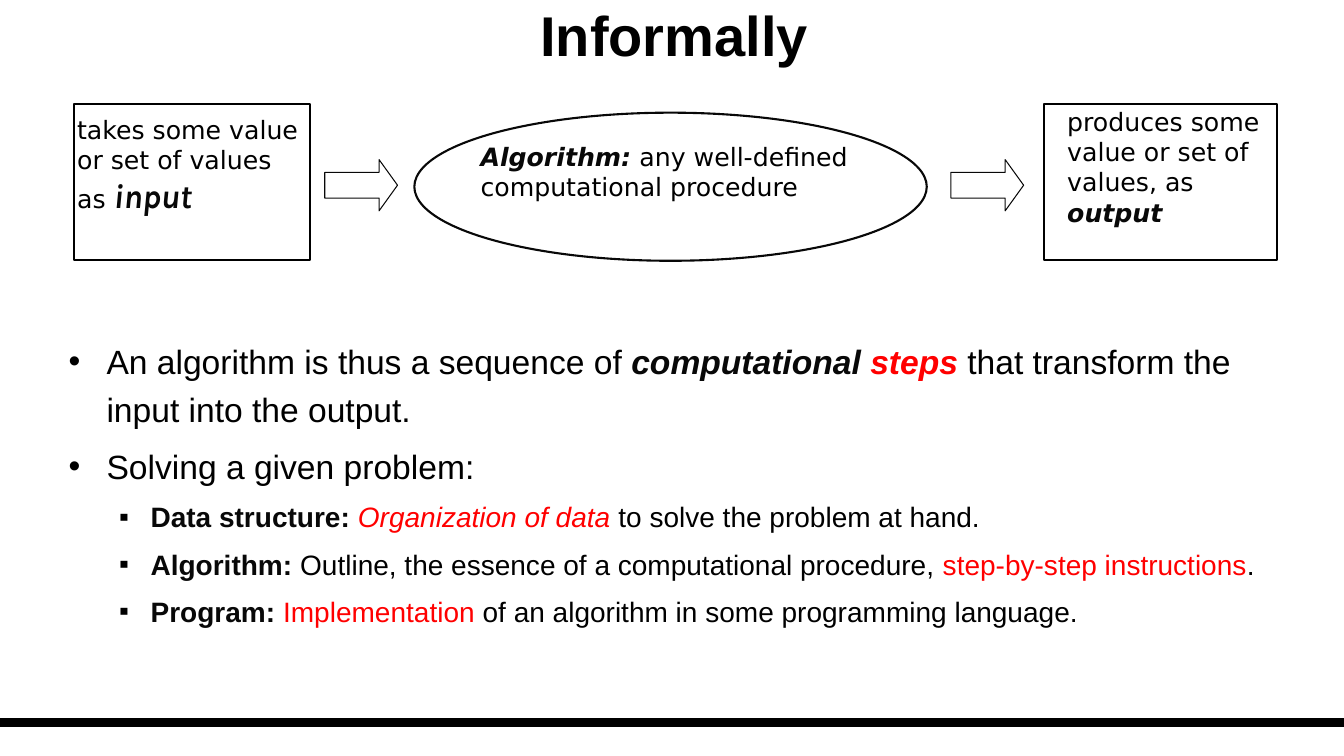
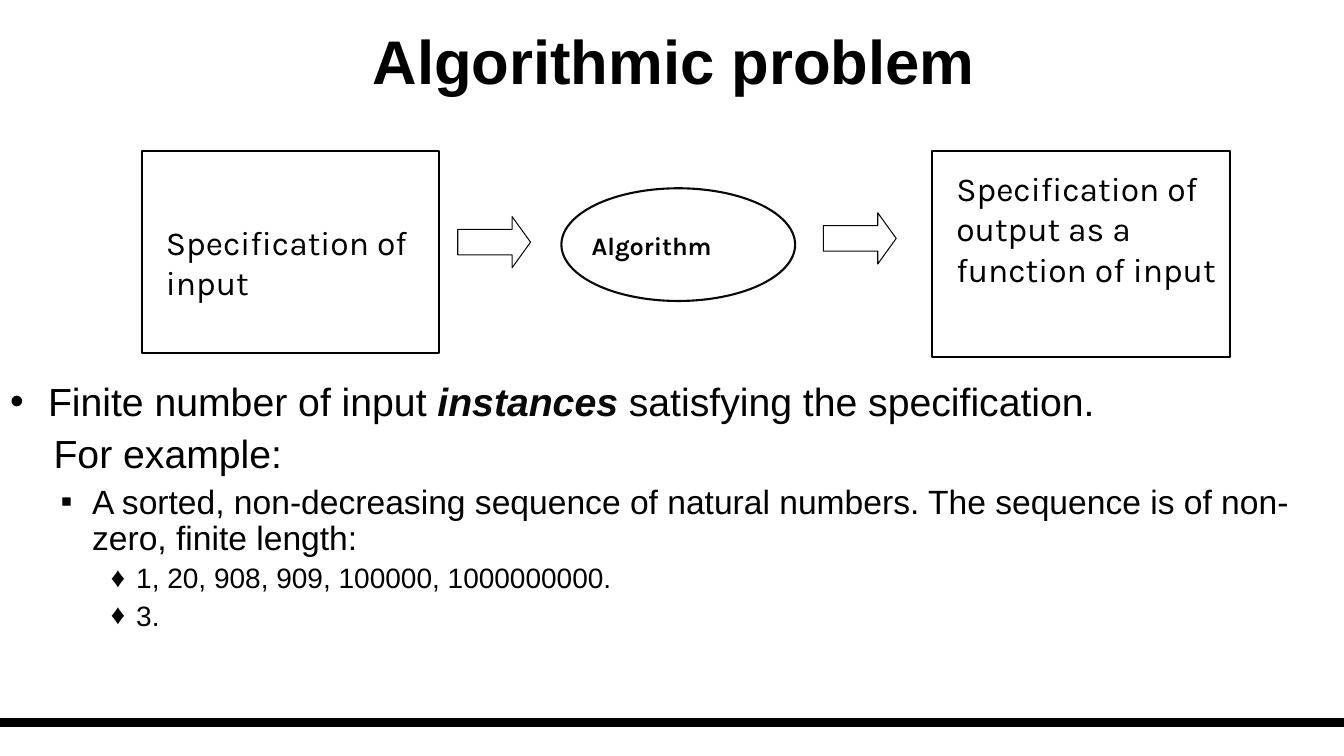
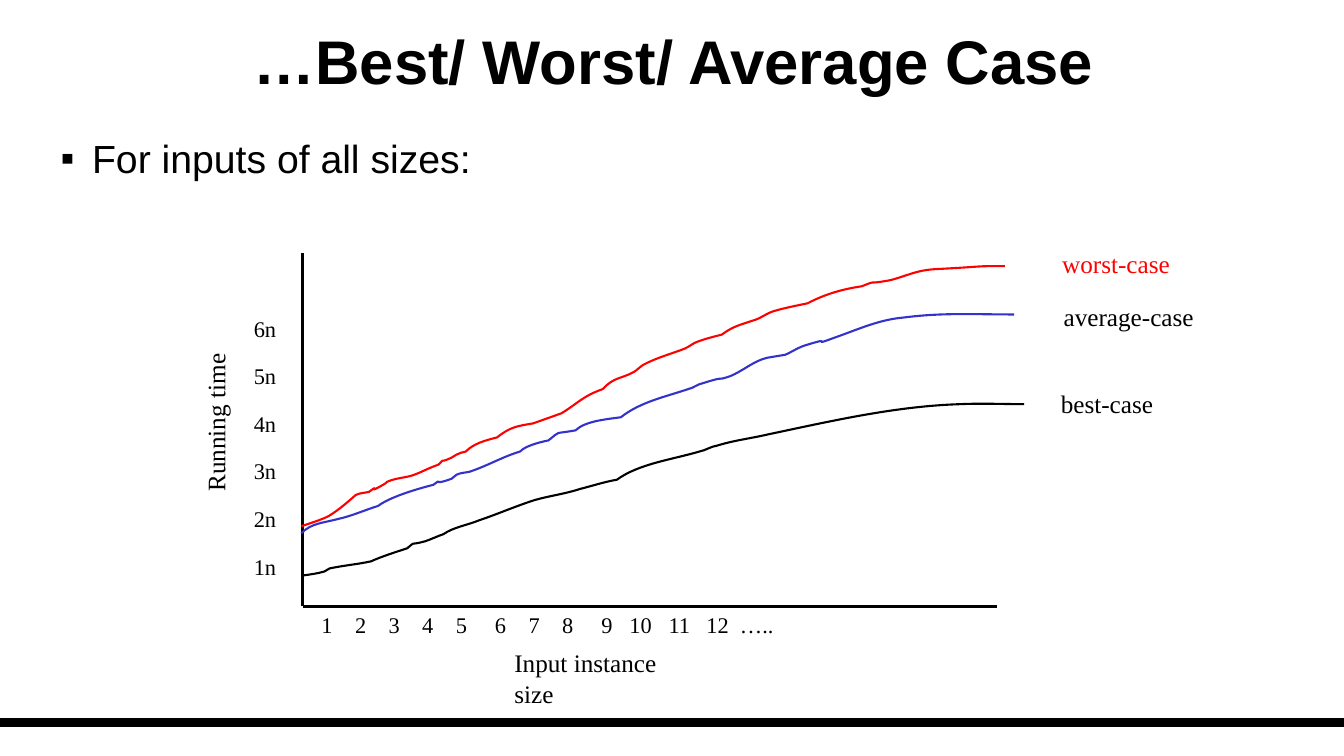
from itertools import accumulate

from lxml import etree
from pptx import Presentation
from pptx import util as u
from pptx.dml.color import RGBColor
from pptx.enum import shapes, text
from pptx.oxml.ns import qn

BLACK, INK, WHITE, RED, BLUE = "000000", "080808", "FFFFFF", "FF0000", "3333CC"
SANS, SCREEN, KARLA, SERIF = "Arial", "DejaVu Sans", "Karla", "Times New Roman"
PRESET = shapes.MSO_SHAPE
INCH = 72  # points

# level: (left margin, first-line indent, bullet)
LEVELS = [(27, -27, "•"), (58.5, -22.5, "▪"), (90, -18, "♦")]

# Each curve: a start point, then rows of two control points and an end point, in inches.
BEST = [
    (3, 5.71),
    (3.08, 5.7, 3.15, 5.69, 3.22, 5.67), (3.24, 5.66, 3.25, 5.65, 3.27, 5.64),
    (3.41, 5.61, 3.54, 5.6, 3.68, 5.57), (3.79, 5.52, 3.92, 5.48, 4.04, 5.44),
    (4.14, 5.36, 4.04, 5.42, 4.22, 5.37), (4.28, 5.35, 4.34, 5.32, 4.4, 5.3),
    (4.5, 5.23, 4.64, 5.21, 4.76, 5.16), (4.94, 5.1, 5.12, 5.02, 5.31, 4.96),
    (5.45, 4.92, 5.61, 4.9, 5.76, 4.85), (5.88, 4.82, 6, 4.78, 6.12, 4.76),
    (6.34, 4.6, 6.67, 4.56, 6.94, 4.48), (7, 4.47, 7.05, 4.43, 7.12, 4.42),
    (7.28, 4.37, 7.45, 4.35, 7.62, 4.31), (8.24, 4.18, 8.88, 4.03, 9.53, 4.01),
    (9.74, 4, 9.95, 4.01, 10.16, 4.01),
]
WORST = [
    (2.99, 5.22),
    (3.08, 5.19, 3.18, 5.16, 3.26, 5.12), (3.36, 5.06, 3.45, 4.98, 3.53, 4.91),
    (3.57, 4.89, 3.62, 4.89, 3.66, 4.88), (3.8, 4.78, 3.61, 4.92, 3.8, 4.81),
    (3.82, 4.81, 3.83, 4.78, 3.84, 4.78), (3.93, 4.74, 4.03, 4.74, 4.11, 4.71),
    (4.19, 4.68, 4.26, 4.64, 4.35, 4.61), (4.43, 4.53, 4.33, 4.61, 4.48, 4.54),
    (4.5, 4.53, 4.51, 4.52, 4.53, 4.51), (4.56, 4.49, 4.59, 4.49, 4.62, 4.48),
    (4.7, 4.4, 4.81, 4.37, 4.93, 4.34), (5.06, 4.24, 5.11, 4.23, 5.29, 4.2),
    (5.29, 4.2, 5.57, 4.1, 5.57, 4.1), (5.72, 4.01, 5.78, 3.93, 5.98, 3.86),
    (6.09, 3.74, 6.16, 3.76, 6.29, 3.69), (6.32, 3.67, 6.35, 3.64, 6.38, 3.62),
    (6.51, 3.55, 6.66, 3.51, 6.79, 3.46), (6.84, 3.44, 6.88, 3.4, 6.92, 3.39),
    (7, 3.36, 7.08, 3.34, 7.16, 3.32), (7.27, 3.24, 7.32, 3.23, 7.47, 3.18),
    (7.55, 3.16, 7.61, 3.1, 7.7, 3.08), (7.8, 3.05, 8.01, 3.01, 8.01, 3.01),
    (8.18, 2.92, 8.35, 2.87, 8.55, 2.84), (8.73, 2.77, 8.56, 2.83, 8.83, 2.78),
    (8.99, 2.74, 9.09, 2.68, 9.28, 2.67), (9.85, 2.64, 9.62, 2.64, 9.97, 2.64),
]
AVERAGE = [
    (2.99, 5.29),
    (3.09, 5.19, 3.2, 5.19, 3.35, 5.15), (3.49, 5.12, 3.62, 5.06, 3.75, 5.02),
    (3.87, 4.93, 4.14, 4.85, 4.3, 4.81), (4.41, 4.73, 4.26, 4.83, 4.48, 4.75),
    (4.5, 4.74, 4.51, 4.72, 4.53, 4.71), (4.57, 4.69, 4.62, 4.69, 4.66, 4.68),
    (4.84, 4.62, 4.99, 4.53, 5.16, 4.48), (5.22, 4.41, 5.44, 4.37, 5.44, 4.37),
    (5.57, 4.27, 5.48, 4.31, 5.71, 4.27), (5.8, 4.18, 6.01, 4.16, 6.16, 4.14),
    (6.35, 3.99, 6.59, 3.94, 6.83, 3.86), (6.88, 3.85, 6.92, 3.81, 6.98, 3.8),
    (7.23, 3.72, 7.08, 3.79, 7.25, 3.73), (7.37, 3.68, 7.48, 3.58, 7.61, 3.55),
    (7.67, 3.54, 7.73, 3.53, 7.79, 3.52), (7.86, 3.49, 7.93, 3.44, 8.01, 3.42),
    (8.3, 3.33, 8.01, 3.45, 8.28, 3.35), (8.51, 3.27, 8.72, 3.17, 8.97, 3.15),
    (9.35, 3.1, 9.67, 3.12, 10.06, 3.12),
]


def color(hex_string):
    return RGBColor.from_string(hex_string)


def points(*lengths):
    return [u.Pt(length) for length in lengths]


class Deck:
    def __init__(self):
        self.file = Presentation()
        self.file.slide_width, self.file.slide_height = points(960, 540)
        self.slide = None

    def start(self, heading, size=44, height=83):
        self.slide = self.file.slides.add_slide(self.file.slide_layouts[6])
        self.line(0, 516, 960, 516, 6)
        frame = self.frame(3, 1.3, 957, height)
        frame.vertical_anchor = text.MSO_ANCHOR.MIDDLE
        frame.paragraphs[0].alignment = text.PP_ALIGN.CENTER
        self.run(frame.paragraphs[0], heading, size, SANS, bold=True)

    def frame(self, *place):
        frame = self.slide.shapes.add_textbox(*points(*place)).text_frame
        frame.word_wrap = True
        return frame

    def run(self, paragraph, words, size, font, ink=BLACK, bold=False, italic=False):
        run = paragraph.add_run()
        run.text = words
        run.font.size, run.font.name = u.Pt(size), font
        run.font.bold, run.font.italic = bold, italic
        run.font.color.rgb = color(ink)

    def label(self, place, *runs, size=18, font=SERIF):
        """Text box of one paragraph; each run is (words, style)."""
        frame = self.frame(*place)
        self.runs(frame.paragraphs[0], runs, size, font)
        return frame

    def runs(self, paragraph, runs, size, font):
        for words, style in runs:
            self.run(paragraph, words, **{"size": size, "font": font, **style})

    def panel(self, place, *runs, size=18, font=SCREEN):
        """White rectangle without a border, holding one left-aligned paragraph."""
        panel = self.slide.shapes.add_shape(PRESET.RECTANGLE, *points(*place))
        panel.shadow.inherit = False
        panel.fill.solid()
        panel.fill.fore_color.rgb = color(WHITE)
        panel.line.fill.background()
        panel.text_frame.vertical_anchor = text.MSO_ANCHOR.TOP
        panel.text_frame.word_wrap = True
        paragraph = panel.text_frame.paragraphs[0]
        paragraph.alignment = text.PP_ALIGN.LEFT
        self.runs(paragraph, runs, size, font)

    def body(self, place, items, spacing=1.0):
        """Bulleted list; each item is (level, size, space before, runs)."""
        frame = self.frame(*place)
        for index, (level, size, before, runs) in enumerate(items):
            paragraph = frame.add_paragraph() if index else frame.paragraphs[0]
            paragraph.line_spacing, paragraph.space_before = spacing, u.Pt(before)
            if level is None:
                self.indent(paragraph, 31, 0)
            else:
                margin, hang, mark = LEVELS[level]
                paragraph.level = level
                self.indent(paragraph, margin, hang)
                self.bullet(paragraph, mark)
            self.runs(paragraph, runs, size, SANS)

    def indent(self, paragraph, margin, first):
        properties = paragraph._p.get_or_add_pPr()
        properties.set("marL", str(u.Pt(margin)))
        properties.set("indent", str(u.Pt(first)))

    def bullet(self, paragraph, mark):
        properties = paragraph._p.get_or_add_pPr()
        tint = etree.SubElement(properties, qn("a:buClr"))
        etree.SubElement(tint, qn("a:srgbClr"), val=BLACK)
        etree.SubElement(properties, qn("a:buFont"), typeface=SANS)
        etree.SubElement(properties, qn("a:buChar"), char=mark)

    def tab_stops(self, paragraph, stops):
        tabs = etree.SubElement(paragraph._p.get_or_add_pPr(), qn("a:tabLst"))
        for stop in stops:
            etree.SubElement(tabs, qn("a:tab"), pos=str(u.Pt(stop)), algn="l")

    def stroke(self, shape, ink, width):
        shape.shadow.inherit = False
        shape.fill.background()
        shape.line.color.rgb = color(ink)
        shape.line.width = u.Pt(width)

    def outline(self, preset, *place, ink=BLACK, width=1.5):
        shape = self.slide.shapes.add_shape(preset, *points(*place))
        self.stroke(shape, ink, width)
        return shape

    def arrow(self, left, top, filled=False):
        arrow = self.outline(PRESET.RIGHT_ARROW, left, top, 52, 36.6, ink=INK, width=0.75)
        arrow.adjustments[1] = 0.36
        if filled:
            arrow.fill.solid()
            arrow.fill.fore_color.rgb = color(WHITE)

    def line(self, x1, y1, x2, y2, width):
        line = self.slide.shapes.add_connector(
            shapes.MSO_CONNECTOR.STRAIGHT, *points(x1, y1, x2, y2))
        line.line.color.rgb = color(BLACK)
        line.line.width = u.Pt(width)
        etree.SubElement(line._element.spPr, qn("a:effectLst"))

    def curve(self, curve, ink):
        """Freeform through the end points, its segments bent into cubic Béziers."""
        start, *bends = [points(*(length * INCH for length in row)) for row in curve]
        builder = self.slide.shapes.build_freeform(*start)
        builder.add_line_segments([bend[-2:] for bend in bends], close=False)
        shape = builder.convert_to_shape()
        for segment, bend in zip(list(shape._element.iter(qn("a:lnTo"))), bends):
            cubic = etree.Element(qn("a:cubicBezTo"))
            for x, y in zip(bend[::2], bend[1::2]):
                etree.SubElement(cubic, qn("a:pt"), x=str(x - shape.left), y=str(y - shape.top))
            segment.getparent().replace(segment, cubic)
        self.stroke(shape, ink, 1.5)


PLAIN, HOT = {}, {"ink": RED}
STRONG = {"ink": INK, "bold": True}
KEY = {**STRONG, "italic": True}


def informally(deck):
    deck.start("Informally", 40, 46.4)
    deck.body((42, 234, 870, 270), [
        (0, 24, 6, [("An algorithm is thus a sequence of ", PLAIN), ("computational ", KEY),
                    ("steps", {**KEY, **HOT}),
                    (" that transform the input into the output.", PLAIN)]),
        (0, 24, 6, [("Solving a given problem:", PLAIN)]),
        (1, 20, 5, [("Data structure: ", STRONG),
                    ("Organization of data ", {**HOT, "italic": True}),
                    ("to solve the problem at hand.", PLAIN)]),
        (1, 20, 5, [("Algorithm:", STRONG),
                    (" Outline, the essence of a computational procedure, ", PLAIN),
                    ("step-by-step instructions", HOT), (".", PLAIN)]),
        (1, 20, 5, [("Program: ", STRONG), ("Implementation", HOT),
                    (" of an algorithm in some programming language.", PLAIN)]),
    ], spacing=1.2)
    deck.outline(PRESET.RECTANGLE, 53, 74, 168.4, 112)
    deck.label((48, 78, 173, 79), ("takes some value or set of values as ", PLAIN),
               ("input", {**KEY, "size": 24, "font": KARLA}), font=SCREEN)
    deck.outline(PRESET.RECTANGLE, 746, 74, 166.4, 112)
    deck.label((755.2, 72.3, 165, 72), ("produces some value or set of values, as ", PLAIN),
               ("output", KEY), font=SCREEN)
    deck.arrow(232, 114, filled=True)
    deck.panel((336.2, 97.4, 288, 50), ("Algorithm:", KEY),
               (" any well-defined computational procedure", PLAIN))
    deck.arrow(679.2, 114, filled=True)
    deck.outline(PRESET.OVAL, 296, 80.5, 366, 105.8, ink=INK)


def algorithmic_problem(deck):
    deck.start("Algorithmic problem")
    deck.body((0.2, 269.5, 943, 230), [
        (0, 28, 7, [("Finite number of input ", PLAIN), ("instances", KEY),
                    (" satisfying the specification.", PLAIN)]),
        (None, 28, 7, [("For example:", PLAIN)]),
        (1, 24, 6, [("A sorted, non-decreasing sequence of natural numbers. "
                     "The sequence is of non-zero, finite length:", PLAIN)]),
        (2, 20, 5, [("1, 20, 908, 909, 100000, 1000000000.", PLAIN)]),
        (2, 20, 5, [("3.", PLAIN)]),
    ], spacing=0.9)
    deck.label((415.5, 160.8, 106, 29), ("Algorithm", {"bold": True}), font=KARLA)
    deck.outline(PRESET.RECTANGLE, 101.5, 108, 212.4, 144)
    deck.label((111.4, 155, 204, 65), ("Specification of input", PLAIN), size=24, font=KARLA)
    deck.arrow(327, 154.7)
    deck.outline(PRESET.OVAL, 401, 134.5, 167, 80.5, ink=INK)
    deck.arrow(588.2, 152)
    deck.outline(PRESET.RECTANGLE, 666, 108, 212.5, 147)
    deck.label((676, 116.5, 204, 94), ("Specification of output as a function of input", PLAIN),
               size=24, font=KARLA)


def best_worst_average(deck):
    deck.start("…Best/ Worst/ Average Case")
    deck.body((0.2, 92.4, 960, 83), [(1, 28, 7, [("For inputs of all sizes:", PLAIN)])])

    for n in range(1, 7):
        deck.label((174.2, 425.3 - 34 * n, 40, 27), (f"{n}n", PLAIN), size=16)
    deck.line(216.3, 181, 216.3, 433, 2.25)
    deck.line(216.3, 433.5, 712, 433.5, 2.25)
    deck.label((360.3, 459, 148, 29), ("Input instance size", PLAIN))

    running_time = deck.label((94, 287.4, 120, 29), ("Running time", PLAIN))
    running_time.paragraphs[0].alignment = text.PP_ALIGN.CENTER
    deck.slide.shapes[-1].rotation = 270

    sizes = [*map(str, range(1, 13)), "….."]
    gaps = [24, 24, 24, 24, 28, 24, 24, 28, 20, 28, 27, 24]
    ticks = deck.label((222.5, 433, 470, 27), ("\t".join(sizes), PLAIN), size=16)
    deck.tab_stops(ticks.paragraphs[0], accumulate(gaps))

    for curve, ink in ((BEST, BLACK), (WORST, RED), (AVERAGE, BLUE)):
        deck.curve(curve, ink)
    deck.label((750.6, 274.1, 84, 29), ("best-case", PLAIN))
    deck.label((752.7, 212, 110, 29), ("average-case", PLAIN))
    deck.label((751.6, 174, 94, 29), ("worst-case", HOT))


def main():
    deck = Deck()
    informally(deck)
    algorithmic_problem(deck)
    best_worst_average(deck)
    deck.file.save("out.pptx")


if __name__ == "__main__":
    main()
